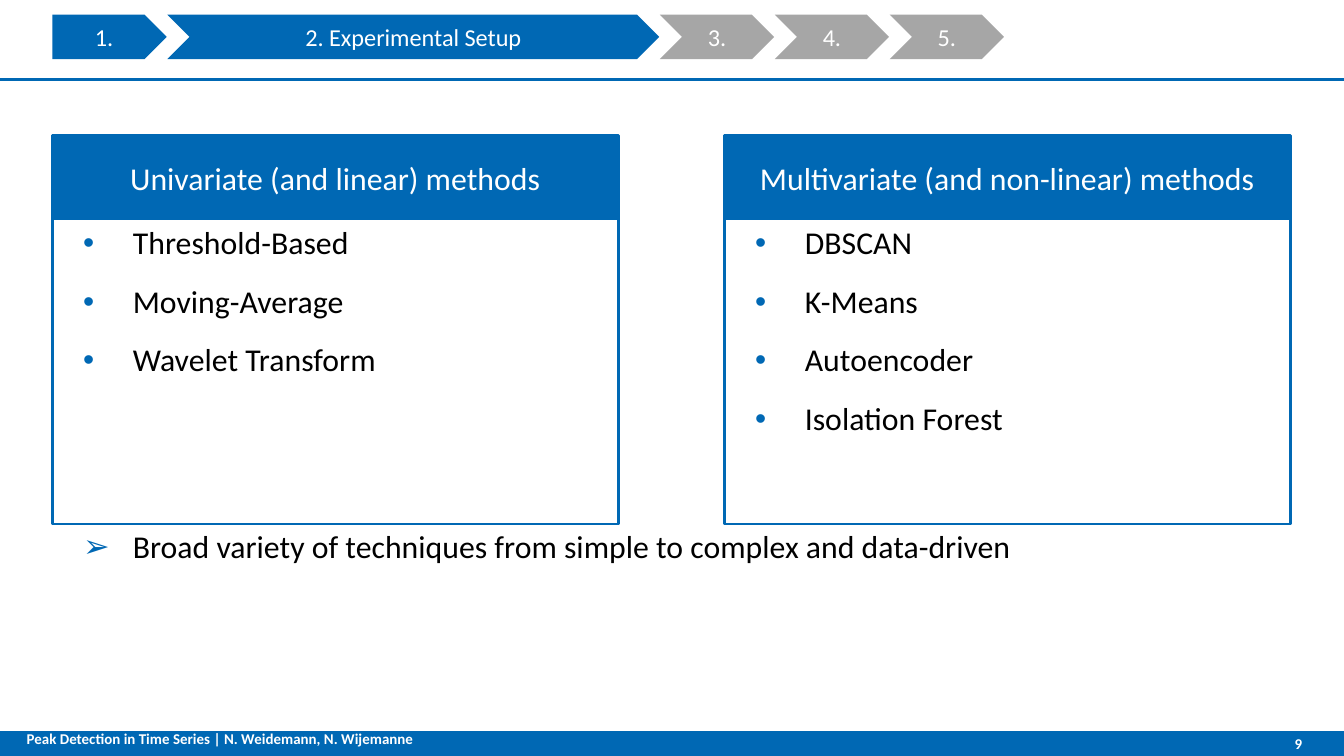
from lxml.etree import SubElement
from pptx import Presentation
from pptx.dml.color import RGBColor
from pptx.enum.shapes import MSO_CONNECTOR as Line, MSO_SHAPE as Kind
from pptx.enum.text import MSO_ANCHOR as Anchor, PP_ALIGN as Align
from pptx.oxml.ns import qn
from pptx.util import Inches, Pt

COLORS = {"blue": "0068B4", "gray": "A6A6A6", "white": "FFFFFF", "black": "000000"}
FONT = "Calibri"
STEPS = [
    ("1.", 0.85, "blue"),
    ("2. Experimental Setup", 3.66, "blue"),
    ("3.", 0.85, "gray"),
    ("4.", 0.85, "gray"),
    ("5.", 0.85, "gray"),
]
CARDS = [
    ("Univariate (and linear) methods",
     ["Threshold-Based", "Moving-Average", "Wavelet Transform"]),
    ("Multivariate (and non-linear) methods",
     ["DBSCAN", "K-Means", "Autoencoder", "Isolation Forest"]),
]
SUMMARY = "Broad variety of techniques from simple to complex and data-driven"
FOOTER = "Peak Detection in Time Series | N. Weidemann, N. Wijemanne"
PAGE = "9"

WIDTH = 10
HEIGHT = WIDTH * 9 / 16
LEFT, CARD_W, PITCH = 0.39, 4.21, 5
HEAD_TOP, HEAD_H, BODY_H = 1.01, 0.62, 2.27
STEPS_END = 7.47


def color(name):
    return RGBColor.from_string(COLORS[name])


def add_box(shapes, kind, at, fill=None, line=None):
    box = shapes.add_shape(kind, *map(Inches, at))
    box.shadow.inherit = False
    if fill:
        box.fill.solid()
        box.fill.fore_color.rgb = color(fill)
    else:
        box.fill.background()
    if line:
        box.line.color.rgb = color(line)
        box.line.width = Pt(1.5)
    else:
        box.line.fill.background()
    return box


def write(shape, lines, size, ink="white", align=Align.CENTER,
          anchor=Anchor.MIDDLE, bold=False, inset=(0.1, 0.05, 0.1, 0.05)):
    frame = shape.text_frame
    frame.word_wrap = True
    frame.vertical_anchor = anchor
    (frame.margin_left, frame.margin_top,
     frame.margin_right, frame.margin_bottom) = map(Inches, inset)
    frame.text = "\n".join(lines)
    for para in frame.paragraphs:
        para.alignment = align
        font = para.runs[0].font
        font.name, font.size, font.bold = FONT, Pt(size), bold
        font.color.rgb = color(ink)


def write_list(shape, lines, mark):
    write(shape, lines, 17, "black", Align.LEFT, Anchor.TOP)
    for para in shape.text_frame.paragraphs:
        para.line_spacing = 0.95
        para.space_before = Pt(12)
        props = para._p.get_or_add_pPr()
        props.set("marL", str(Inches(0.5)))
        props.set("indent", str(Inches(-0.37)))
        tint = SubElement(props, qn("a:buClr"))
        SubElement(tint, qn("a:srgbClr"), val=COLORS["blue"])
        SubElement(props, qn("a:buFont"), typeface="Arial")
        SubElement(props, qn("a:buChar"), char=mark)


def add_text(shapes, at):
    return shapes.add_textbox(*map(Inches, at))


def add_steps(shapes):
    group = shapes.add_group_shape()
    total = sum(width for _, width, _ in STEPS)
    gap = (STEPS_END - LEFT - total) / (len(STEPS) - 1)
    left = LEFT
    for i, (label, width, fill) in enumerate(STEPS):
        kind = Kind.CHEVRON if i else Kind.PENTAGON
        step = add_box(group.shapes, kind, (left, 0.11, width, 0.33), fill)
        write(step, [label], 13)
        left += width + gap


def add_cards(shapes):
    for i, (title, items) in enumerate(CARDS):
        left = LEFT + i * PITCH
        head = add_box(shapes, Kind.RECTANGLE, (left, HEAD_TOP, CARD_W, HEAD_H),
                       "blue", "blue")
        write(head, [title], 17)
        body = add_box(shapes, Kind.RECTANGLE,
                       (left, HEAD_TOP + HEAD_H, CARD_W, BODY_H), line="blue")
        write_list(body, items, "•")


def add_frame(shapes):
    """Draw the footer bar, its texts and the rule under the steps."""
    add_box(shapes, Kind.RECTANGLE, (0, 5.44, WIDTH, 0.19), "blue")
    rule = shapes.add_connector(Line.STRAIGHT, *map(Inches, (WIDTH, 0.59, 0, 0.59)))
    rule.line.color.rgb = color("blue")
    rule.line.width = Pt(1.5)
    SubElement(rule._element.spPr, qn("a:effectLst"))
    write(add_text(shapes, (0.1, 5.36, 4.34, 0.34)), [FOOTER], 8,
          align=Align.LEFT, anchor=Anchor.TOP, bold=True, inset=(0.1,) * 4)
    write(add_text(shapes, (8.75, 5.44, 0.94, 0.19)), [PAGE], 8,
          align=Align.RIGHT, bold=True, inset=(0.1, 0.05, 0, 0.05))


def main():
    deck = Presentation()
    deck.slide_width, deck.slide_height = Inches(WIDTH), Inches(HEIGHT)
    shapes = deck.slides.add_slide(deck.slide_layouts[6]).shapes
    add_frame(shapes)
    add_steps(shapes)
    add_cards(shapes)
    write_list(add_text(shapes, (LEFT, 3.89, PITCH + CARD_W, 0.91)), [SUMMARY], "➢")
    deck.save("out.pptx")


if __name__ == "__main__":
    main()
